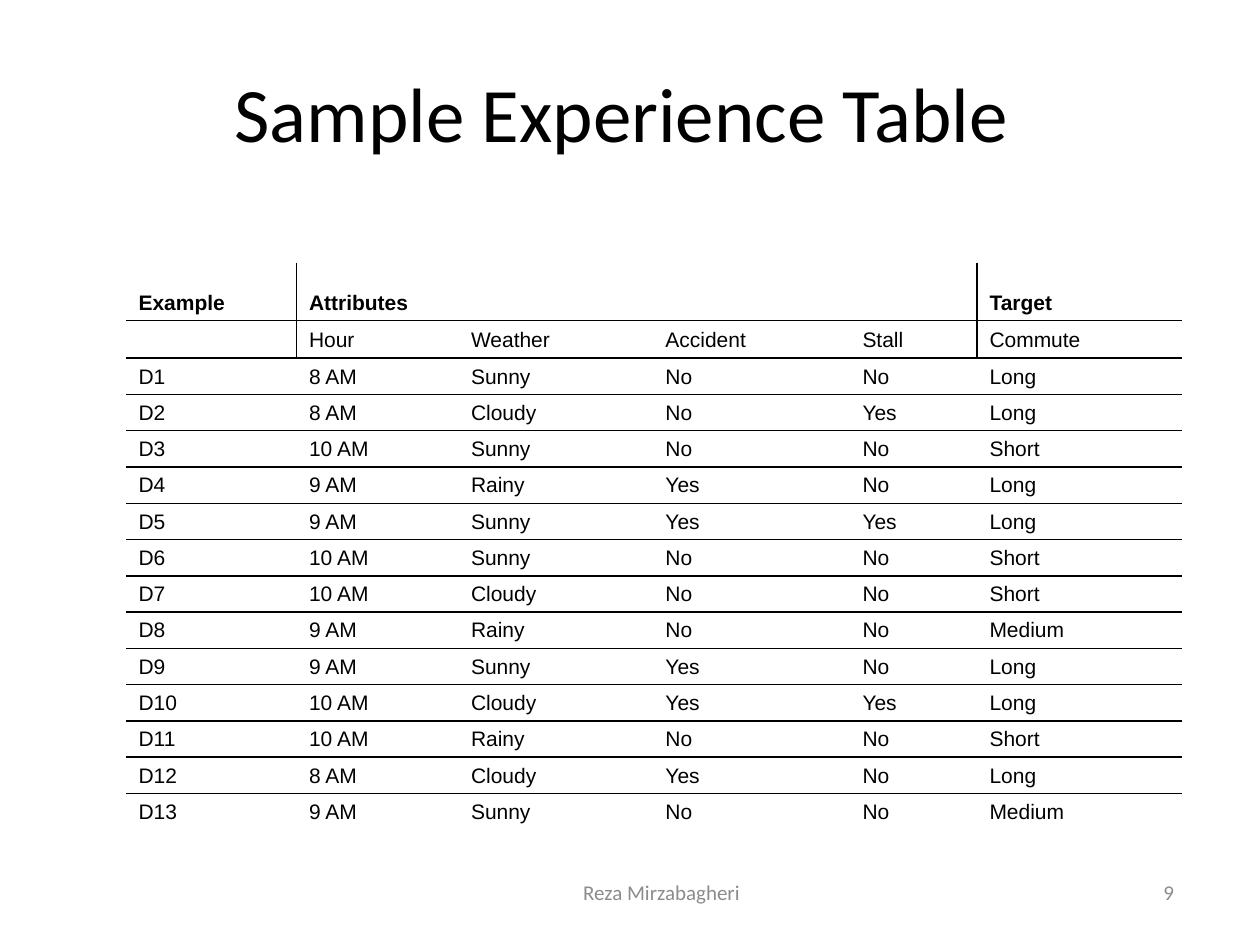
from lxml import etree
from pptx import Presentation
from pptx.dml.color import RGBColor
from pptx.enum import text as t
from pptx.oxml import ns
from pptx.util import Pt

BLACK = RGBColor(0, 0, 0)
GRAY = RGBColor(0x8C, 0x8C, 0x8C)
PLAIN = "{2D5ABB26-0587-4C30-8999-92F81FD0307C}"
COLS = [97.4, 92.6, 111.1, 112.6, 72.6, 117.1]
HEAD, ROW = 33.3, 20.74
ROWS = [line.split(",") for line in """\
Example,Attributes,,,,Target
,Hour,Weather,Accident,Stall,Commute
D1,8 AM,Sunny,No,No,Long
D2,8 AM,Cloudy,No,Yes,Long
D3,10 AM,Sunny,No,No,Short
D4,9 AM,Rainy,Yes,No,Long
D5,9 AM,Sunny,Yes,Yes,Long
D6,10 AM,Sunny,No,No,Short
D7,10 AM,Cloudy,No,No,Short
D8,9 AM,Rainy,No,No,Medium
D9,9 AM,Sunny,Yes,No,Long
D10,10 AM,Cloudy,Yes,Yes,Long
D11,10 AM,Rainy,No,No,Short
D12,8 AM,Cloudy,Yes,No,Long
D13,9 AM,Sunny,No,No,Medium""".splitlines()]


def write(frame, words, size=12, font="Calibri", color=BLACK, bold=False,
          align=t.PP_ALIGN.LEFT, hang=0):
    """Put one formatted paragraph in a text frame."""
    para = frame.paragraphs[0]
    para.alignment = align
    if hang:
        props = para._p.get_or_add_pPr()
        props.set("marL", str(Pt(hang)))
        props.set("indent", str(-Pt(hang)))
    if not words:
        etree.SubElement(para._p, ns.qn("a:endParaRPr"), sz=str(size * 100))
        return
    run = para.add_run()
    run.text = words
    run.font.size, run.font.name = Pt(size), font
    run.font.bold, run.font.color.rgb = bold, color


def rule(cell, sides):
    """Draw the named sides of a cell and clear the others."""
    cell.fill.background()
    props = cell._tc.get_or_add_tcPr()
    for spot, side in enumerate("LRTB"):
        line = etree.Element(ns.qn("a:ln" + side), w=str(Pt(1)))
        if side in sides:
            fill = etree.SubElement(line, ns.qn("a:solidFill"))
            etree.SubElement(fill, ns.qn("a:srgbClr"), val=str(BLACK))
        else:
            etree.SubElement(line, ns.qn("a:noFill"))
        props.insert(spot, line)


def title(slide, x, y, w, h):
    """Place and format the slide title."""
    shape = slide.shapes.title
    shape.left, shape.top, shape.width, shape.height = map(Pt, (x, y, w, h))
    shape.text_frame.vertical_anchor = t.MSO_ANCHOR.MIDDLE
    write(shape.text_frame, "Sample Experience Table", size=44,
          align=t.PP_ALIGN.CENTER)


def grid(slide, x, y):
    """Build the table of examples with its top left corner at x, y."""
    high = HEAD + ROW * (len(ROWS) - 1)
    table = slide.shapes.add_table(len(ROWS), len(COLS), Pt(x), Pt(y),
                                   Pt(sum(COLS)), Pt(high)).table
    table.first_row = table.horz_banding = False
    table._tbl.tblPr.find(ns.qn("a:tableStyleId")).text = PLAIN
    for col, wide in zip(table.columns, COLS):
        col.width = Pt(wide)
    for r, row in enumerate(ROWS):
        table.rows[r].height = Pt(ROW if r else HEAD)
        for c, words in enumerate(row):
            cell = table.cell(r, c)
            cell.vertical_anchor = t.MSO_ANCHOR.BOTTOM
            cell.margin_top = cell.margin_bottom = Pt(3.4)
            write(cell.text_frame, words, font="Arial", bold=r == 0, hang=35)
            sides = "T" if r else ""
            if r < len(ROWS) - 1:
                sides += "B"
            if r < 2:
                sides += {0: "R", 1: "L", 4: "R", 5: "L"}.get(c, "")
            if r == 0 and c == 1:
                sides += "R"
            rule(cell, sides)
    table.cell(0, 1).merge(table.cell(0, 4))


def note(slide, words, x, y, w, h, align):
    """Place one gray text of the footer."""
    frame = slide.shapes.add_textbox(*map(Pt, (x, y, w, h))).text_frame
    frame.word_wrap = True
    frame.vertical_anchor = t.MSO_ANCHOR.MIDDLE
    write(frame, words, color=GRAY, align=align)


def main():
    """Build and save the slide."""
    deck = Presentation()
    deck.slide_width, deck.slide_height = Pt(720), Pt(540)
    slide = deck.slides.add_slide(deck.slide_layouts[5])
    title(slide, 73.5, 8, 563.5, 111.5)
    grid(slide, 72, 150)
    note(slide, "9", 528, 492, 150, 36, t.PP_ALIGN.RIGHT)
    note(slide, "Reza Mirzabagheri", 264, 492, 228, 36, t.PP_ALIGN.CENTER)
    deck.save("out.pptx")


main()
